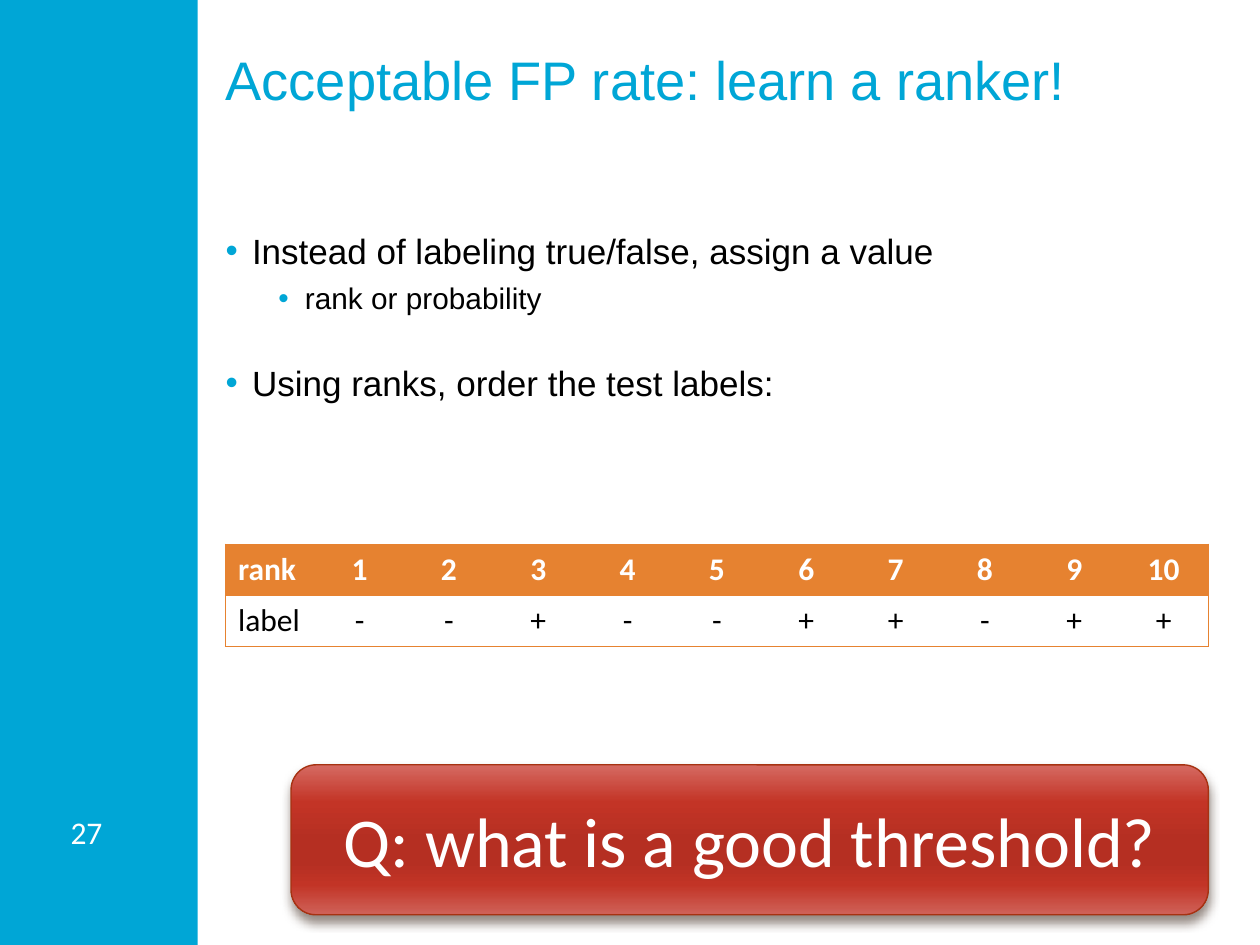
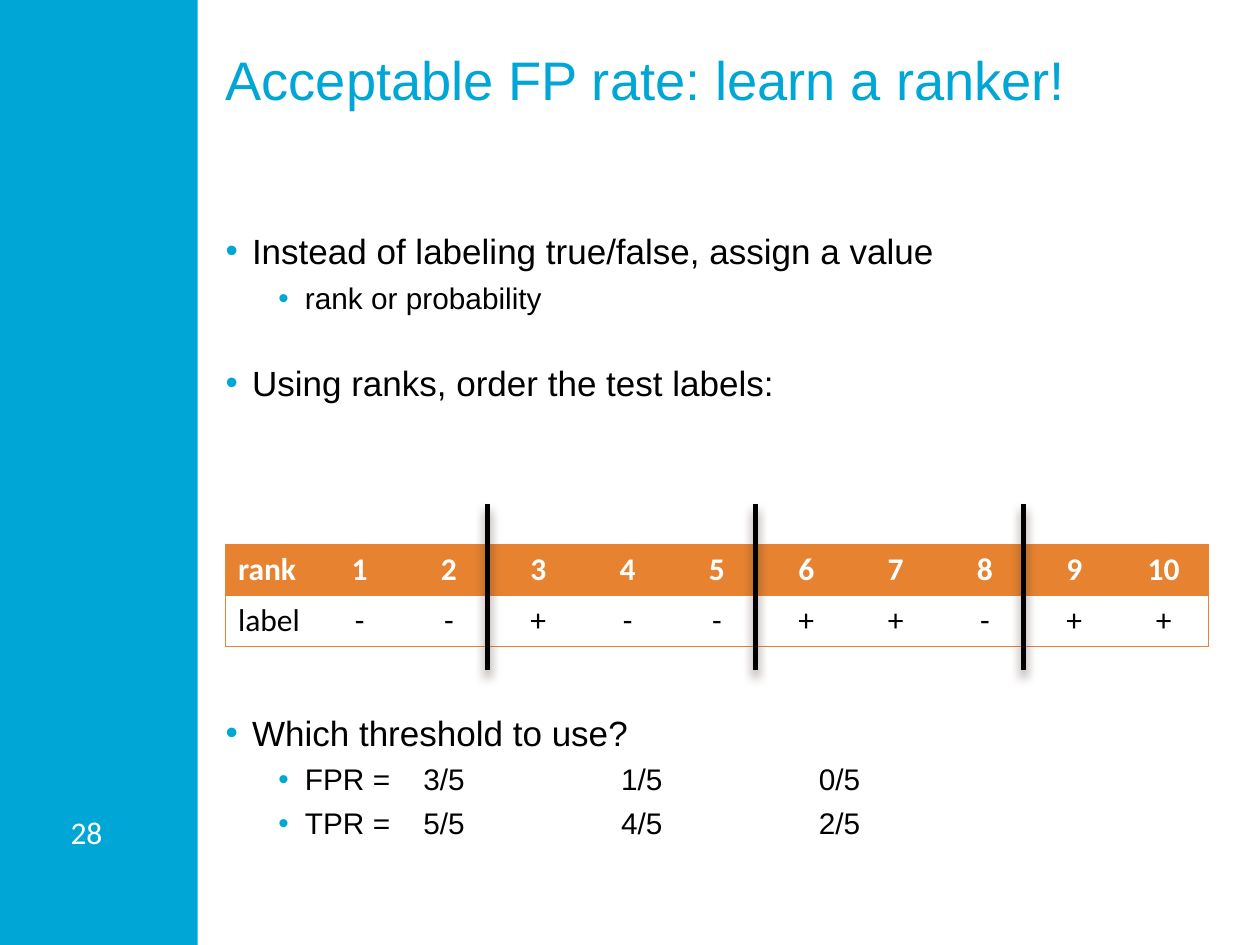
from dataclasses import dataclass

from lxml import etree
from pptx import Presentation
from pptx.dml.color import RGBColor
from pptx.enum.shapes import MSO_CONNECTOR, MSO_SHAPE
from pptx.enum.text import MSO_ANCHOR, MSO_AUTO_SIZE, PP_ALIGN
from pptx.oxml.ns import qn
from pptx.util import Inches, Pt

RECTANGLE, ROUNDED = MSO_SHAPE.RECTANGLE, MSO_SHAPE.ROUNDED_RECTANGLE
STRAIGHT = MSO_CONNECTOR.STRAIGHT
TOP, MIDDLE = MSO_ANCHOR.TOP, MSO_ANCHOR.MIDDLE
LEFT, CENTER = PP_ALIGN.LEFT, PP_ALIGN.CENTER
NO_AUTOFIT = MSO_AUTO_SIZE.NONE


@dataclass(frozen=True)
class Theme:
    cyan: str = "00A6D6"
    orange: str = "E68230"
    white: str = "FFFFFF"
    black: str = "000000"
    outline: str = "A63212"
    shadow: str = "4E3B30"
    glossy_red: tuple = ((0, "D56A62"), (25, "C33426"), (50, "B52F22"),
                         (65, "B52F22"), (80, "C23426"), (100, "CF6259"))
    heading_font: str = "Arial"
    table_font: str = "Calibri"
    title_size: float = 31
    body_sizes: tuple = (20, 17)
    small_size: float = 18
    question_size: float = 40
    hairline: float = 0.79
    line_pitch: float = 25


THEME = Theme()

# Grid, in inches
WIDTH, HEIGHT = 10, 7.5
MARGIN = 1.79
TEXT_WIDTH = 7.7
BODY_TOP = 1.81
TABLE_TOP, TABLE_WIDTH, ROW_HEIGHT = 4.32, 7.8, 0.405
BULLET_INDENT = 0.21
RATE_STEP = 1.57

# Content
TITLE = "Acceptable FP rate: learn a ranker!"
LABELS = "--+--++-++"
# Each item: level, text, empty lines before it
RANKING_ITEMS = [
    (0, "Instead of labeling true/false, assign a value", 0),
    (1, "rank or probability", 0),
    (0, "Using ranks, order the test labels:", 1),
]
THRESHOLD_ITEMS = [
    (0, "Which threshold to use?", 7),
    (1, "FPR =", 0),
    (1, "TPR =", 0),
]
RATES = [("3/5", "5/5"), ("1/5", "4/5"), ("0/5", "2/5")]
THRESHOLD_COLUMNS = (3, 6, 9)
RATE_LINE = 12


def apply(target, **values):
    for name, value in values.items():
        setattr(target, name, value)


def box(left, top, width, height):
    return [Inches(value) for value in (left, top, width, height)]


def add_element(parent, tag, **attributes):
    element = etree.SubElement(parent, qn(tag))
    for name, value in attributes.items():
        element.set(name, str(value))
    return element


def add_color(parent, color):
    return add_element(parent, "a:srgbClr", val=color)


def write(paragraph, text, font, size, color, bold=False, **formats):
    apply(paragraph, **formats)
    run = paragraph.add_run()
    run.text = text
    apply(run.font, name=font, size=Pt(size), bold=bold)
    run.font.color.rgb = RGBColor.from_string(color)


def prepare_frame(shape, margins=(0, 0), anchor=TOP):
    horizontal, vertical = (Inches(margin) for margin in margins)
    frame = shape.text_frame
    apply(frame, word_wrap=True, auto_size=NO_AUTOFIT, vertical_anchor=anchor,
          margin_left=horizontal, margin_right=horizontal,
          margin_top=vertical, margin_bottom=vertical)
    return frame


def place(shape, left, top, width, height):
    names = ("left", "top", "width", "height")
    apply(shape, **dict(zip(names, box(left, top, width, height))))


def add_soft_shadow(shape):
    properties = shape._element.spPr
    effects = properties.find(qn("a:effectLst"))
    if effects is None:
        effects = add_element(properties, "a:effectLst")
    shadow = add_element(effects, "a:outerShdw", blurRad=Pt(6), dist=Pt(4),
                         dir=90 * 60000, rotWithShape=0)
    add_element(add_color(shadow, THEME.shadow), "a:alpha", val=60000)


# Shared frame: side band, page number and title
def add_base_slide(presentation, number):
    slide = presentation.slides.add_slide(presentation.slide_layouts[1])
    band = slide.shapes.add_shape(RECTANGLE, *box(0, 0, 1.57, HEIGHT))
    band.shadow.inherit = False
    band.fill.solid()
    band.fill.fore_color.rgb = RGBColor.from_string(THEME.cyan)
    band.line.fill.background()

    page = slide.shapes.add_textbox(*box(0.49, 6.41, 0.54, 0.4))
    write(prepare_frame(page, (0.07, 0.04)).paragraphs[0], str(number),
          THEME.table_font, THEME.small_size, THEME.white)

    title = slide.shapes.title
    place(title, MARGIN, 0.37, TEXT_WIDTH, 1.16)
    write(prepare_frame(title).paragraphs[0], TITLE, THEME.heading_font,
          THEME.title_size, THEME.cyan, alignment=LEFT)
    return slide


def add_bullet(paragraph, level):
    properties = paragraph._p.get_or_add_pPr()
    properties.set("marL", str(Inches(BULLET_INDENT * (1 + 2 * level))))
    properties.set("indent", str(-Inches(BULLET_INDENT)))
    add_color(add_element(properties, "a:buClr"), THEME.cyan)
    add_element(properties, "a:buFont", typeface=THEME.heading_font)
    add_element(properties, "a:buChar", char="•")


def fill_body(slide, items):
    body = slide.placeholders[1]
    place(body, MARGIN, BODY_TOP, TEXT_WIDTH, 5.26)
    frame = prepare_frame(body)
    for index, (level, text, gap) in enumerate(items):
        paragraph = frame.add_paragraph() if index else frame.paragraphs[0]
        add_bullet(paragraph, level)
        write(paragraph, text, THEME.heading_font, THEME.body_sizes[level],
              THEME.black, level=level, alignment=LEFT,
              line_spacing=Pt(THEME.line_pitch),
              space_before=Pt(gap * THEME.line_pitch), space_after=Pt(0))


# Ranking table
def add_borders(cell, sides):
    properties = cell._tc.get_or_add_tcPr()
    for side in sides:
        line = add_element(properties, f"a:ln{side}", w=Pt(THEME.hairline))
        add_color(add_element(line, "a:solidFill"), THEME.orange)


def add_rank_table(slide):
    rows = [["rank", *map(str, range(1, len(LABELS) + 1))],
            ["label", *LABELS]]
    last = len(LABELS)
    frame = slide.shapes.add_table(
        len(rows), last + 1,
        *box(MARGIN, TABLE_TOP, TABLE_WIDTH, ROW_HEIGHT * len(rows)))
    table = frame.table
    table.horz_banding = False
    style = table._tbl.tblPr.find(qn("a:tableStyleId"))
    style.text = "{2D5ABB26-0587-4C30-8999-92F81FD0307C}"
    for column in table.columns:
        column.width = Inches(TABLE_WIDTH / (last + 1))
    for row_index, texts in enumerate(rows):
        header = row_index == 0
        for column_index, text in enumerate(texts):
            cell = table.cell(row_index, column_index)
            sides = ("L" if column_index == 0 else
                     "R" if column_index == last else "") + "TB"
            add_borders(cell, sides)
            if header:
                cell.fill.solid()
                cell.fill.fore_color.rgb = RGBColor.from_string(THEME.orange)
            else:
                cell.fill.background()
            write(cell.text_frame.paragraphs[0], text, THEME.table_font,
                  THEME.small_size, THEME.white if header else THEME.black,
                  bold=header, alignment=CENTER if column_index else LEFT)


def add_question(slide, text):
    button = slide.shapes.add_shape(ROUNDED, *box(2.31, 6.07, 7.28, 1.19))
    button.shadow.inherit = False
    button.fill.gradient()
    button.fill.gradient_angle = 270
    stops = button._element.spPr.find(qn("a:gradFill")).find(qn("a:gsLst"))
    for stop in list(stops):
        stops.remove(stop)
    for position, color in THEME.glossy_red:
        add_color(add_element(stops, "a:gs", pos=position * 1000), color)
    button.line.color.rgb = RGBColor.from_string(THEME.outline)
    button.line.width = Pt(THEME.hairline)
    add_soft_shadow(button)
    write(prepare_frame(button, (0.1, 0.05), MIDDLE).paragraphs[0], text,
          THEME.table_font, THEME.question_size, THEME.white,
          alignment=CENTER)


# Threshold lines sit just left of a column edge
def add_threshold(slide, column):
    x = Inches(MARGIN + column * TABLE_WIDTH / (len(LABELS) + 1) - 0.05)
    line = slide.shapes.add_connector(STRAIGHT, x, Inches(4),
                                      x, Inches(5.32))
    line.line.color.rgb = RGBColor.from_string(THEME.black)
    line.line.width = Pt(3)
    add_soft_shadow(line)


def add_rates(slide, position, rates):
    top = BODY_TOP + RATE_LINE * THEME.line_pitch / 72
    column = slide.shapes.add_textbox(
        *box(MARGIN + position * RATE_STEP, top, 0.6, 0.7))
    frame = prepare_frame(column)
    for index, rate in enumerate(rates):
        paragraph = frame.add_paragraph() if index else frame.paragraphs[0]
        write(paragraph, rate, THEME.heading_font, THEME.body_sizes[1],
              THEME.black, line_spacing=Pt(THEME.line_pitch))


def main():
    presentation = Presentation()
    apply(presentation, slide_width=Inches(WIDTH),
          slide_height=Inches(HEIGHT))

    # Ranking and the question
    slide = add_base_slide(presentation, 27)
    fill_body(slide, RANKING_ITEMS)
    add_rank_table(slide)
    add_question(slide, "Q: what is a good threshold?")

    # Candidate thresholds and their rates
    slide = add_base_slide(presentation, 28)
    fill_body(slide, RANKING_ITEMS + THRESHOLD_ITEMS)
    add_rank_table(slide)
    for column in THRESHOLD_COLUMNS:
        add_threshold(slide, column)
    for position, rates in enumerate(RATES, start=1):
        add_rates(slide, position, rates)

    presentation.save("out.pptx")


if __name__ == "__main__":
    main()
